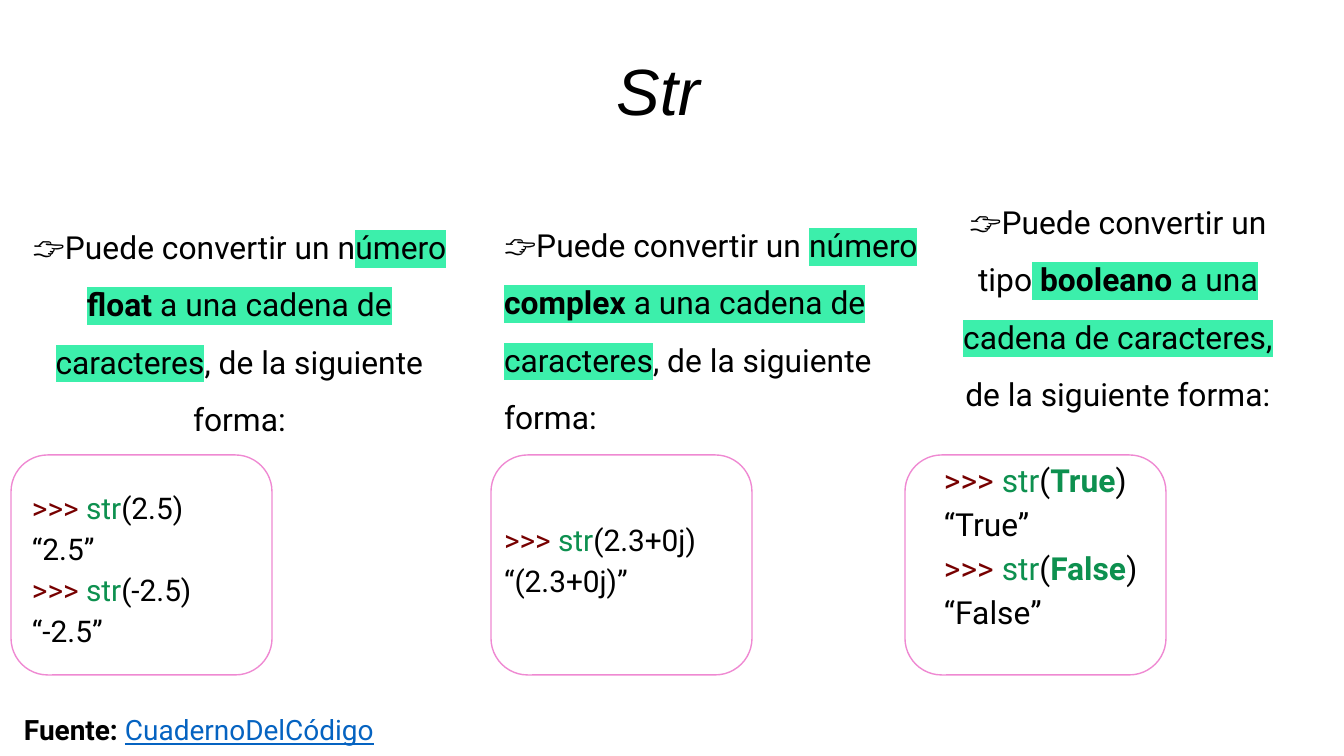
from lxml.etree import SubElement
from pptx import Presentation
from pptx.dml.color import RGBColor
from pptx.enum.shapes import MSO_SHAPE as SHAPE
from pptx.enum.text import MSO_ANCHOR as ANCHOR, MSO_AUTO_SIZE as FIT, PP_ALIGN as ALIGN
from pptx.oxml.ns import qn
from pptx.util import Pt

COLORS = {"text": "000000", "mark": "3CEFAB", "prompt": "770000",
          "func": "0D904F", "link": "0563C1", "frame": "EF89D2"}

PLAIN = {}
MARK = {"mark": True}
MARK_BOLD = {"mark": True, "bold": True}
PROMPT = {"color": "prompt"}
FUNC = {"color": "func"}
FUNC_BOLD = {"color": "func", "bold": True}
LINK = {"color": "link", "underline": True}

TITLE = "Str"
COLUMNS = [
    {"box": (19, 196, 441, 466), "frame_x": 11, "align": ALIGN.CENTER,
     "intro": [("👉Puede convertir un n", PLAIN), ("úmero ", MARK), ("float ", MARK_BOLD),
               ("a una cadena de caracteres", MARK), (", de la siguiente forma:", PLAIN)],
     "values": ["2.5", "-2.5"], "value_style": PLAIN, "size": 16, "gap": 25},
    {"box": (491, 194, 466, 497), "frame_x": 491, "align": ALIGN.LEFT,
     "intro": [("👉Puede convertir un ", PLAIN), ("número ", MARK), ("complex ", MARK_BOLD),
               ("a una cadena de caracteres", MARK), (", de la siguiente forma:", PLAIN)],
     "values": ["2.3+0j"], "value_style": PLAIN, "size": 16, "gap": 43},
    {"box": (931, 171, 374, 515), "frame_x": 905, "align": ALIGN.CENTER,
     "intro": [("👉Puede convertir un tipo", PLAIN), (" ", MARK), ("booleano ", MARK_BOLD),
               ("a una cadena de caracteres,", MARK), (" de la siguiente forma:", PLAIN)],
     "values": ["True", "False"], "value_style": FUNC_BOLD, "size": 17, "gap": 23},
]
RESULTS = {"2.3+0j": "(2.3+0j)"}
SOURCE = [("Fuente: ", {"bold": True}), ("CuadernoDelCódigo", LINK)]

FRAME_Y, FRAME_W, FRAME_H = 455, 261, 220
INSET = 13


def px(n):
    return round(n * 914400 / 134.4)


def rgb(name):
    return RGBColor.from_string(COLORS[name])


def format_frame(tf):
    tf.word_wrap = True
    tf.auto_size = FIT.NONE
    tf.margin_left = tf.margin_right = tf.margin_top = tf.margin_bottom = px(INSET)


def add_text_box(slide, box):
    tf = slide.shapes.add_textbox(*map(px, box)).text_frame
    format_frame(tf)
    return tf


def fill_paragraph(p, runs, size, spacing, align=ALIGN.LEFT):
    p.alignment = align
    p.line_spacing = spacing
    for text, style in runs:
        r = p.add_run()
        r.text = text
        font = r.font
        font.name, font.size = "Roboto", Pt(size)
        font.bold = style.get("bold", False)
        font.underline = style.get("underline", False)
        font.color.rgb = rgb(style.get("color", "text"))
        if style.get("mark"):
            rpr = r._r.get_or_add_rPr()
            highlight = SubElement(rpr, qn("a:highlight"))
            SubElement(highlight, qn("a:srgbClr"), val=COLORS["mark"])
            rpr.find(qn("a:solidFill")).addnext(highlight)


def code_lines(values, style):
    for value in values:
        yield [(">>>", PROMPT), (" ", PLAIN), ("str", FUNC),
               ("(", PLAIN), (value, style), (")", PLAIN)]
        yield [(f"“{RESULTS.get(value, value)}”", PLAIN)]


def add_column(slide, col):
    tf = add_text_box(slide, col["box"])
    fill_paragraph(tf.paragraphs[0], col["intro"], 17, 1.5, col["align"])
    for i, runs in enumerate(code_lines(col["values"], col["value_style"])):
        p = tf.add_paragraph()
        fill_paragraph(p, runs, col["size"], 1.15)
        if i == 0:
            p.space_before = Pt(col["gap"])


def add_code_frame(slide, x):
    sp = slide.shapes.add_shape(SHAPE.ROUNDED_RECTANGLE,
                                *map(px, (x, FRAME_Y, FRAME_W, FRAME_H)))
    sp.shadow.inherit = False
    sp.fill.background()
    sp.line.color.rgb = rgb("frame")
    sp.line.width = Pt(0.75)


def add_title(slide):
    sp = slide.shapes.title
    sp.left, sp.top, sp.width, sp.height = map(px, (142, 17, 1032, 145))
    tf = sp.text_frame
    format_frame(tf)
    tf.vertical_anchor = ANCHOR.MIDDLE
    p = tf.paragraphs[0]
    p.alignment = ALIGN.CENTER
    r = p.add_run()
    r.text = TITLE
    r.font.name, r.font.size, r.font.italic = "Arial", Pt(35), True
    r.font.color.rgb = rgb("text")


def main():
    prs = Presentation()
    prs.slide_width, prs.slide_height = px(1344), px(756)
    slide = prs.slides.add_slide(prs.slide_layouts[5])
    add_title(slide)
    for col in COLUMNS:
        add_column(slide, col)
        add_code_frame(slide, col["frame_x"])
    tf = add_text_box(slide, (11, 695, 441, 60))
    fill_paragraph(tf.paragraphs[0], SOURCE, 15, 1.15)
    prs.save("out.pptx")


if __name__ == "__main__":
    main()
